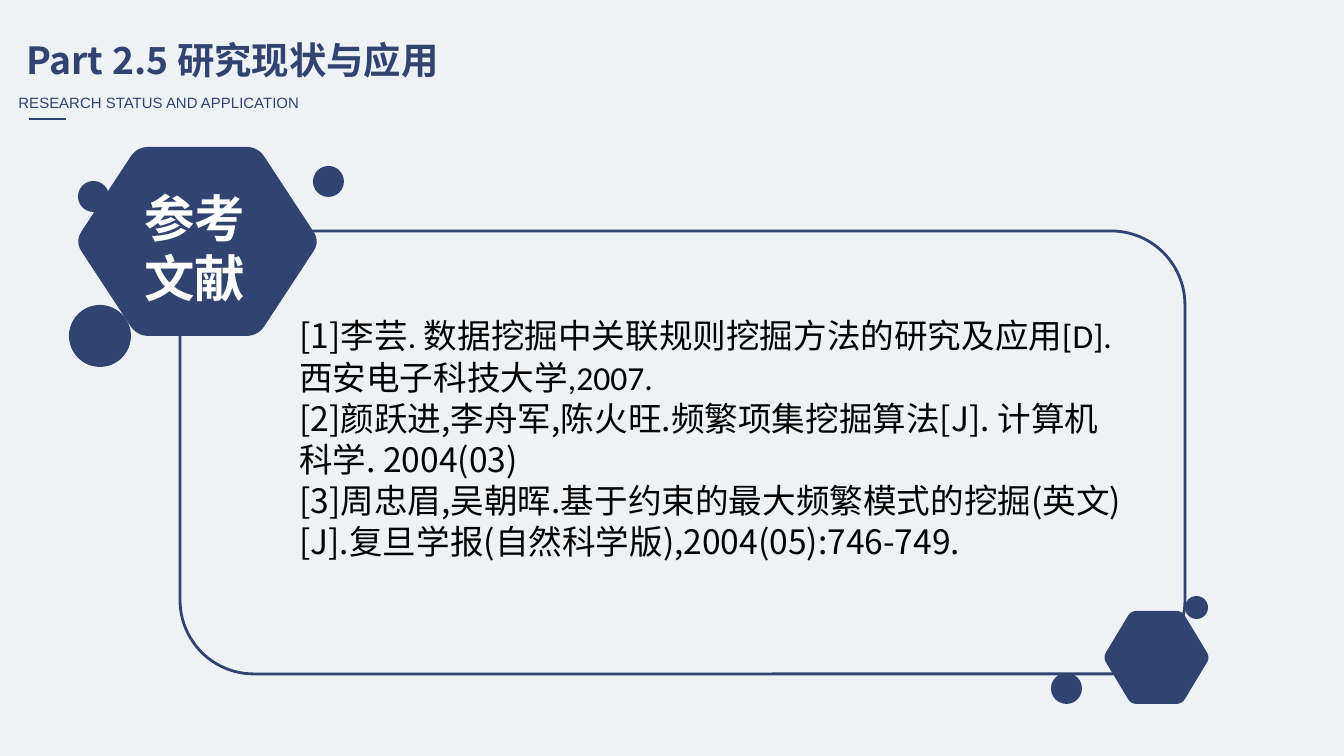
from math import hypot
from lxml.etree import SubElement
from pptx import Presentation
from pptx.dml.color import RGBColor
from pptx.enum.shapes import MSO_CONNECTOR as Connector, MSO_SHAPE as Shape
from pptx.enum.text import MSO_ANCHOR as Anchor, PP_ALIGN as Align
from pptx.oxml.ns import qn
from pptx.util import Pt

PX = 914400 / 134.4
NAVY, BLACK, WHITE, PALE = "304371", "000000", "FFFFFF", "EEF2F5"
SANS = "Noto Sans CJK SC"

TITLE = "Part 2.5 研究现状与应用"
SUBTITLE = "RESEARCH STATUS AND APPLICATION"
BADGE = "参考文献"
# Each reference is a list of (text, font) runs
REFERENCES = [
    [("[1]", SANS),
     ("李芸. 数据挖掘中关联规则挖掘方法的研究及应用[D].西安电子科技大学,2007.", "Calibri")],
    [("[2]颜跃进,李舟军,陈火旺.频繁项集挖掘算法[J]. 计算机科学. 2004(03)", SANS)],
    [("[3]周忠眉,吴朝晖.基于约束的最大频繁模式的挖掘(英文)[J].复旦学报(自然科学版),"
      "2004(05):746-749.", SANS)],
]
# Circles: left, top, diameter
CIRCLES = [(69, 305, 62), (78, 181, 31), (313, 166, 31), (1051, 673, 31), (1185, 596, 23)]
# Hexagons: left, top, width, height, inset of the flat sides, corner cut
SMALL_HEXAGON = (1103, 611, 107, 93, 28, 6)
BADGE_HEXAGON = (75, 147, 245, 189, 62, 12)


def px(*values):
    return [round(value * PX) for value in values]


def rgb(value):
    return RGBColor.from_string(value)


def paint(shape, fill=None, line=None):
    shape.shadow.inherit = False
    if fill:
        shape.fill.solid()
        shape.fill.fore_color.rgb = rgb(fill)
    else:
        shape.fill.background()
    if line:
        shape.line.color.rgb = rgb(line)
        shape.line.width = Pt(1.5)
    else:
        shape.line.fill.background()


def style(font, size, color, name=None, bold=False):
    font.size, font.bold = Pt(size), bold
    font.color.rgb = rgb(color)
    if name:
        font.name = name


def add_label(slide, box, text, size, name, bold=False, align=Align.LEFT):
    frame = slide.shapes.add_textbox(*px(*box)).text_frame
    frame.word_wrap = False
    paragraph = frame.paragraphs[0]
    paragraph.text, paragraph.alignment = text, align
    style(paragraph.font, size, NAVY, name, bold)


def add_hexagon(slide, left, top, width, height, inset, cut, steps=8):
    """Hexagon whose corners are rounded by quadratic curves."""
    right, bottom, middle = left + width, top + height, top + height / 2
    corners = [(left, middle), (left + inset, top), (right - inset, top),
               (right, middle), (right - inset, bottom), (left + inset, bottom)]

    def toward(start, end):
        share = cut / hypot(end[0] - start[0], end[1] - start[1])
        return [a + (b - a) * share for a, b in zip(start, end)]

    points = []
    for index, corner in enumerate(corners):
        enter = toward(corner, corners[index - 1])
        leave = toward(corner, corners[(index + 1) % 6])
        for step in range(steps + 1):
            t = step / steps
            points.append(px(*((1 - t) ** 2 * a + 2 * t * (1 - t) * b + t ** 2 * c
                               for a, b, c in zip(enter, corner, leave))))
    builder = slide.shapes.build_freeform(*points[0])
    builder.add_line_segments(points[1:], close=True)
    paint(builder.convert_to_shape(), NAVY)


presentation = Presentation()
presentation.slide_width, presentation.slide_height = px(1344, 756)
slide = presentation.slides.add_slide(presentation.slide_layouts[6])
slide.background.fill.solid()
slide.background.fill.fore_color.rgb = rgb(PALE)

# Heading with its short rule
add_label(slide, (13, 31, 461, 59), TITLE, 20, SANS, bold=True)
add_label(slide, (1, 87, 316, 32), SUBTITLE, 8, "Arial", align=Align.CENTER)
rule = slide.shapes.add_connector(Connector.STRAIGHT, *px(29, 119, 66, 119))
rule.line.color.rgb = rgb(NAVY)
rule.line.width = Pt(1.5)
SubElement(rule._element.spPr, qn("a:effectLst"))

# Frame and its ornaments
frame_shape = slide.shapes.add_shape(Shape.ROUNDED_RECTANGLE, *px(180, 231, 1005, 443))
paint(frame_shape, line=NAVY)
for left, top, diameter in CIRCLES:
    paint(slide.shapes.add_shape(Shape.OVAL, *px(left, top, diameter, diameter)), NAVY)
add_hexagon(slide, *SMALL_HEXAGON)

# Badge
add_hexagon(slide, *BADGE_HEXAGON)
badge = slide.shapes.add_shape(Shape.RECTANGLE, *px(125, 180, 140, 121))
paint(badge, NAVY)
badge.text_frame.word_wrap = True
badge.text_frame.vertical_anchor = Anchor.TOP
paragraph = badge.text_frame.paragraphs[0]
paragraph.text, paragraph.alignment = BADGE, Align.CENTER
style(paragraph.font, 27, WHITE, "Arial Narrow", bold=True)

# References
text_frame = slide.shapes.add_textbox(*px(286, 308, 857, 262)).text_frame
text_frame.word_wrap = True
for index, runs in enumerate(REFERENCES):
    paragraph = text_frame.paragraphs[0] if index == 0 else text_frame.add_paragraph()
    paragraph.line_spacing = Pt(22)
    style(paragraph.font, 18, BLACK)
    for text, name in runs:
        run = paragraph.add_run()
        run.text, run.font.name = text, name

presentation.save("out.pptx")
